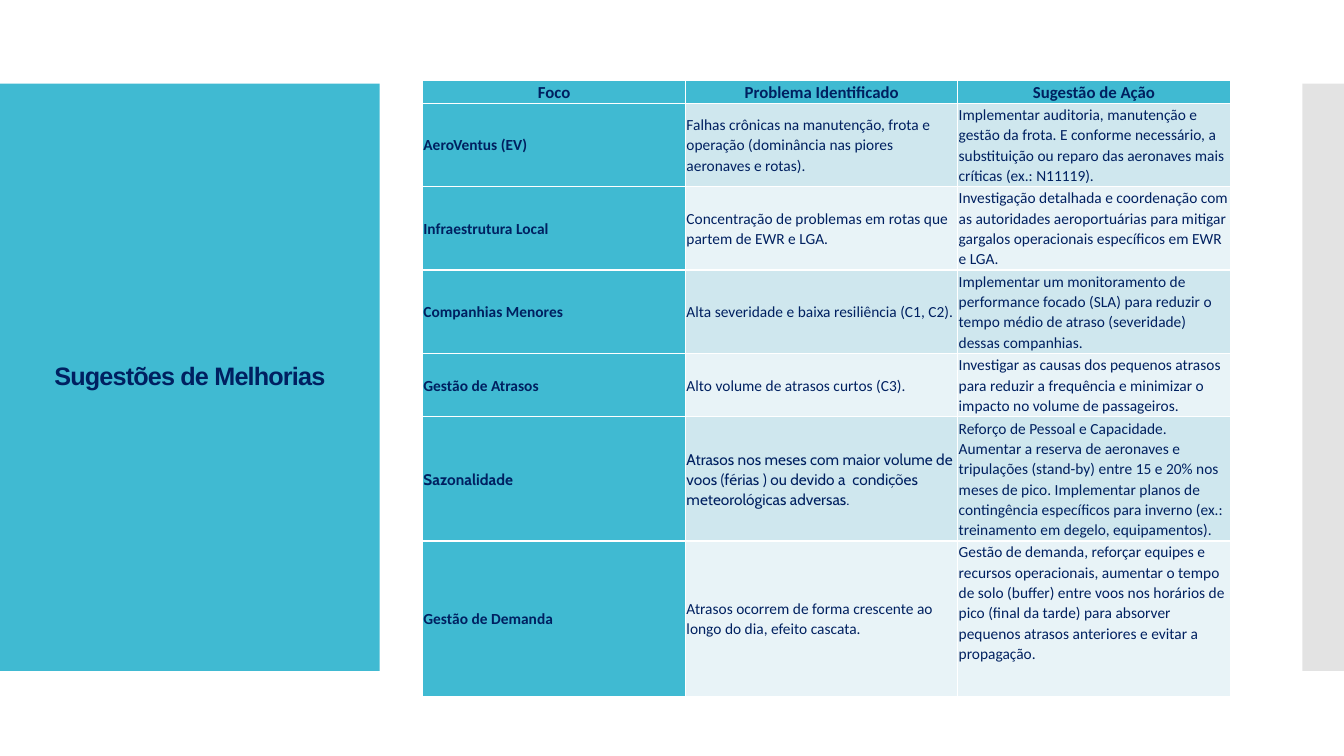
from lxml import etree
from pptx import Presentation
from pptx.dml.color import RGBColor
from pptx.enum.shapes import MSO_SHAPE
from pptx.enum.text import MSO_ANCHOR, PP_ALIGN
from pptx.oxml.ns import qn
from pptx.util import Cm, Pt

RECTANGLE = MSO_SHAPE.RECTANGLE
TOP, MIDDLE = MSO_ANCHOR.TOP, MSO_ANCHOR.MIDDLE
LEFT, CENTER = PP_ALIGN.LEFT, PP_ALIGN.CENTER

TEAL = RGBColor(0x40, 0xBA, 0xD2)
NAVY = RGBColor(0x00, 0x20, 0x60)
GREY = RGBColor(0xC8, 0xC8, 0xC8)
BAND_DARK = RGBColor(0xCF, 0xE7, 0xEE)
BAND_LIGHT = RGBColor(0xE8, 0xF3, 0xF7)

COLUMN_WIDTHS = (6.63, 6.86, 6.86)
ROW_HEIGHTS = (0.57, 2.1, 2.1, 2.1, 1.6, 3.13, 3.92)
CELL_MARGIN = Cm(0.02)

HEADINGS = ("Foco", "Problema Identificado", "Sugestão de Ação")
SUGGESTIONS = (
    ("AeroVentus (EV)",
     "Falhas crônicas na manutenção, frota e operação (dominância nas piores aeronaves e rotas).",
     "Implementar auditoria, manutenção e gestão da frota. E conforme necessário, a substituição "
     "ou reparo das aeronaves mais críticas (ex.: N11119)."),
    ("Infraestrutura Local",
     "Concentração de problemas em rotas que partem de EWR e LGA.",
     "Investigação detalhada e coordenação com as autoridades aeroportuárias para mitigar "
     "gargalos operacionais específicos em EWR e LGA."),
    ("Companhias Menores",
     "Alta severidade e baixa resiliência (C1, C2).",
     "Implementar um monitoramento de performance focado (SLA) para reduzir o tempo médio de "
     "atraso (severidade) dessas companhias."),
    ("Gestão de Atrasos",
     "Alto volume de atrasos curtos (C3).",
     "Investigar as causas dos pequenos atrasos para reduzir a frequência e minimizar o impacto "
     "no volume de passageiros."),
    ("Sazonalidade",
     "Atrasos nos meses com maior volume de voos (férias ) ou devido a  condições "
     "meteorológicas adversas.",
     "Reforço de Pessoal e Capacidade. Aumentar a reserva de aeronaves e tripulações (stand-by) "
     "entre 15 e 20% nos meses de pico. Implementar planos de contingência específicos para "
     "inverno (ex.: treinamento em degelo, equipamentos)."),
    ("Gestão de Demanda",
     "Atrasos ocorrem de forma crescente ao longo do dia, efeito cascata.",
     "Gestão de demanda, reforçar equipes e recursos operacionais, aumentar o tempo de solo "
     "(buffer) entre voos nos horários de pico (final da tarde) para absorver pequenos atrasos "
     "anteriores e evitar a propagação."),
)


def add_span(para, text, font_name, size, bold):
    span = para.add_run()
    span.text = text
    span.font.name = font_name
    span.font.size = Pt(size)
    span.font.bold = bold
    span.font.color.rgb = NAVY
    return span


def add_panel(page, left, top, width, height, color):
    panel = page.shapes.add_shape(RECTANGLE, left, top, width, height)
    panel.shadow.inherit = False
    panel.fill.solid()
    panel.fill.fore_color.rgb = color
    panel.line.fill.background()
    return panel


def add_title_panel(page, left, top, width, height):
    add_panel(page, left, top, width, height, TEAL)
    inset_x, inset_y = Cm(0.7), Cm(1)
    box = page.shapes.add_textbox(left + inset_x, top + inset_y,
                                  width - 2 * inset_x, height - 2 * inset_y)
    frame = box.text_frame
    frame.word_wrap = True
    frame.vertical_anchor = MIDDLE
    para = frame.paragraphs[0]
    para.alignment = CENTER
    para.line_spacing = 0.9
    span = add_span(para, "Sugestões de Melhorias", "Arial", 18, True)
    span.font._element.set("spc", "-60")


def add_side_strip(page, left, top, width, height):
    strip = add_panel(page, left, top, width, height, GREY)
    color = strip.fill._xPr.find(qn("a:solidFill"))[0]
    etree.SubElement(color, qn("a:alpha")).set("val", "50000")


def fill_cell(cell, text, fill, font_name, size, bold, alignment, space_after):
    cell.fill.solid()
    cell.fill.fore_color.rgb = fill
    cell.vertical_anchor = MIDDLE
    cell.margin_left = cell.margin_right = CELL_MARGIN
    cell.margin_top = cell.margin_bottom = CELL_MARGIN
    para = cell.text_frame.paragraphs[0]
    para.alignment = alignment
    para.line_spacing = 1.07
    para.space_after = Pt(space_after)
    add_span(para, text, font_name, size, bold)


def add_suggestion_table(page, left, top, width, height):
    table = page.shapes.add_table(len(ROW_HEIGHTS), len(COLUMN_WIDTHS),
                                  left, top, width, height).table
    for column, column_width in zip(table.columns, COLUMN_WIDTHS):
        column.width = Cm(column_width)
    for row, row_height in zip(table.rows, ROW_HEIGHTS):
        row.height = Cm(row_height)

    for column, heading in enumerate(HEADINGS):
        fill_cell(table.cell(0, column), heading, TEAL, "Calibri", 12, True, CENTER, 8)
    for row, suggestion in enumerate(SUGGESTIONS, start=1):
        band = BAND_DARK if row % 2 else BAND_LIGHT
        for column, text in enumerate(suggestion):
            is_focus = column == 0
            in_cabin = suggestion[0] == "Sazonalidade" and column < 2
            fill_cell(table.cell(row, column), text, TEAL if is_focus else band,
                      "Cabin" if in_cabin else "Calibri", 11, is_focus, LEFT,
                      0 if column == 1 else 8)
    table.cell(len(SUGGESTIONS), 2).vertical_anchor = TOP


def main():
    deck = Presentation()
    deck.slide_width, deck.slide_height = Cm(33.87), Cm(19.05)
    page = deck.slides.add_slide(deck.slide_layouts[6])
    panel_top, panel_height = Cm(2.11), Cm(14.8)
    strip_left = Cm(32.82)
    add_title_panel(page, 0, panel_top, Cm(9.57), panel_height)
    add_side_strip(page, strip_left, panel_top, deck.slide_width - strip_left, panel_height)
    add_suggestion_table(page, Cm(10.65), Cm(2.02),
                         Cm(sum(COLUMN_WIDTHS)), Cm(sum(ROW_HEIGHTS)))
    deck.save("out.pptx")


if __name__ == "__main__":
    main()
